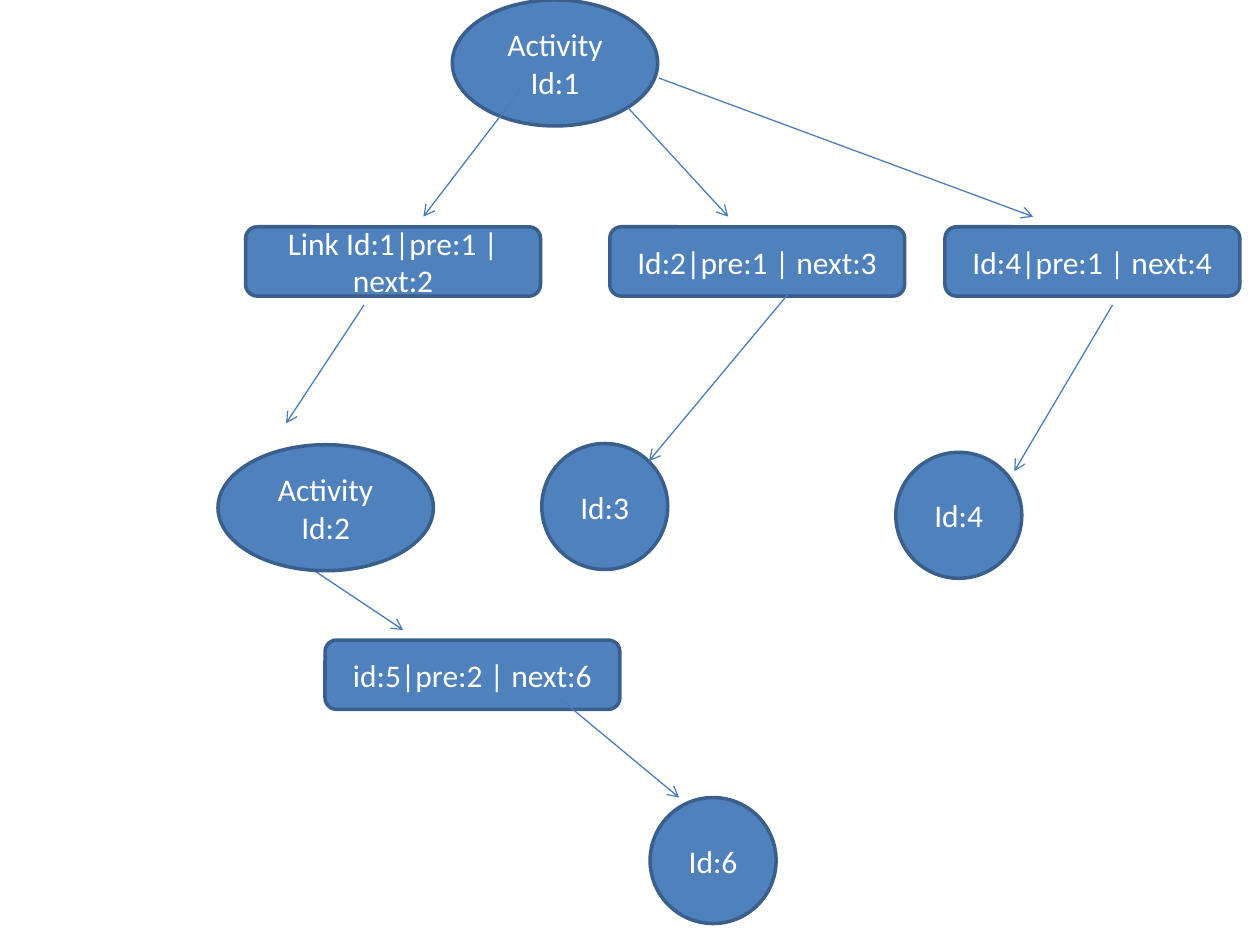
"""Build a slide that shows activities joined by numbered links."""
from lxml import etree
from pptx import Presentation, util as u
from pptx.dml import color
from pptx.enum import shapes, text
from pptx.oxml import ns

COLUMNS, ROWS = 100, 75
CELL = u.Inches(0.1)
FILL, OUTLINE, ARROW, LABEL = "4F81BD", "3A5F8C", "4B7EBC", "FFFFFF"
NODE_HEIGHT, CIRCLE_WIDTH = 10, 10
LINK_WIDTH, LINK_HEIGHT, LINK_TOP = 23.4, 5.5, 18
ARROW_TOP = 17.2

ACTIVITIES = [
    ("Activity Id:1", 35.9, 0, 16.3),
    ("Activity Id:2", 17.3, 35.3, 17.1),
    ("Id:3", 43, 35.2, CIRCLE_WIDTH),
    ("Id:4", 71.1, 35.9, CIRCLE_WIDTH),
    ("Id:6", 51.6, 63.3, CIRCLE_WIDTH),
]
LINKS = [
    ("Link Id:1|pre:1 | next:2", 19.5, LINK_TOP),
    ("Id:2|pre:1 | next:3", 48.4, LINK_TOP),
    ("Id:4|pre:1 | next:4", 75, LINK_TOP),
    ("id:5|pre:2 | next:6", 25.8, 50.8),
]
BACK_ARROW = (20.3, 42.2, 32, 50)
FRONT_ARROWS = [
    (41.4, 7, 33.6, ARROW_TOP),
    (49.8, 8.5, 57.8, ARROW_TOP),
    (52.3, 6.2, 82, ARROW_TOP),
    (28.9, 24.2, 22.7, 33.6),
    (62.5, 23.4, 51.5, 36.6),
    (88.3, 24.2, 80.5, 37.4),
    (44.5, 55.5, 53.9, 63.3),
]


def cells(*counts):
    """Turn counts of grid cells into slide lengths."""
    return [u.Emu(round(count * CELL)) for count in counts]


def paint(target, value):
    """Give a fill or line format one solid colour."""
    target.solid()
    target.fore_color.rgb = color.RGBColor.from_string(value)


def add_node(slide, kind, label, left, top, width, height):
    """Add an outlined shape with a centred label."""
    shape = slide.shapes.add_shape(kind, *cells(left, top, width, height))
    shape.shadow.inherit = False
    paint(shape.fill, FILL)
    paint(shape.line.fill, OUTLINE)
    shape.line.width = u.Pt(2)
    frame = shape.text_frame
    frame.text = label
    frame.word_wrap = True
    frame.vertical_anchor = text.MSO_ANCHOR.MIDDLE
    paragraph = frame.paragraphs[0]
    paragraph.alignment = text.PP_ALIGN.CENTER
    font = paragraph.runs[0].font
    font.name, font.size = "Calibri", u.Pt(18)
    paint(font.fill, LABEL)


def add_arrow(slide, *ends):
    """Add a thin straight line with an open arrowhead at its end."""
    connector = slide.shapes.add_connector(shapes.MSO_CONNECTOR.STRAIGHT, *cells(*ends))
    paint(connector.line.fill, ARROW)
    connector.line.width = u.Pt(0.75)
    line = connector.line._get_or_add_ln()
    etree.SubElement(line, ns.qn("a:tailEnd"), type="arrow")
    etree.SubElement(connector._element.spPr, ns.qn("a:effectLst"))


def main():
    """Build and save the slide."""
    presentation = Presentation()
    presentation.slide_width, presentation.slide_height = cells(COLUMNS, ROWS)
    slide = presentation.slides.add_slide(presentation.slide_layouts[6])
    add_arrow(slide, *BACK_ARROW)
    for label, left, top, width in ACTIVITIES:
        add_node(slide, shapes.MSO_SHAPE.OVAL, label, left, top, width, NODE_HEIGHT)
    for label, left, top in LINKS:
        add_node(slide, shapes.MSO_SHAPE.ROUNDED_RECTANGLE, label,
                 left, top, LINK_WIDTH, LINK_HEIGHT)
    for ends in FRONT_ARROWS:
        add_arrow(slide, *ends)
    presentation.save("out.pptx")


if __name__ == "__main__":
    main()
